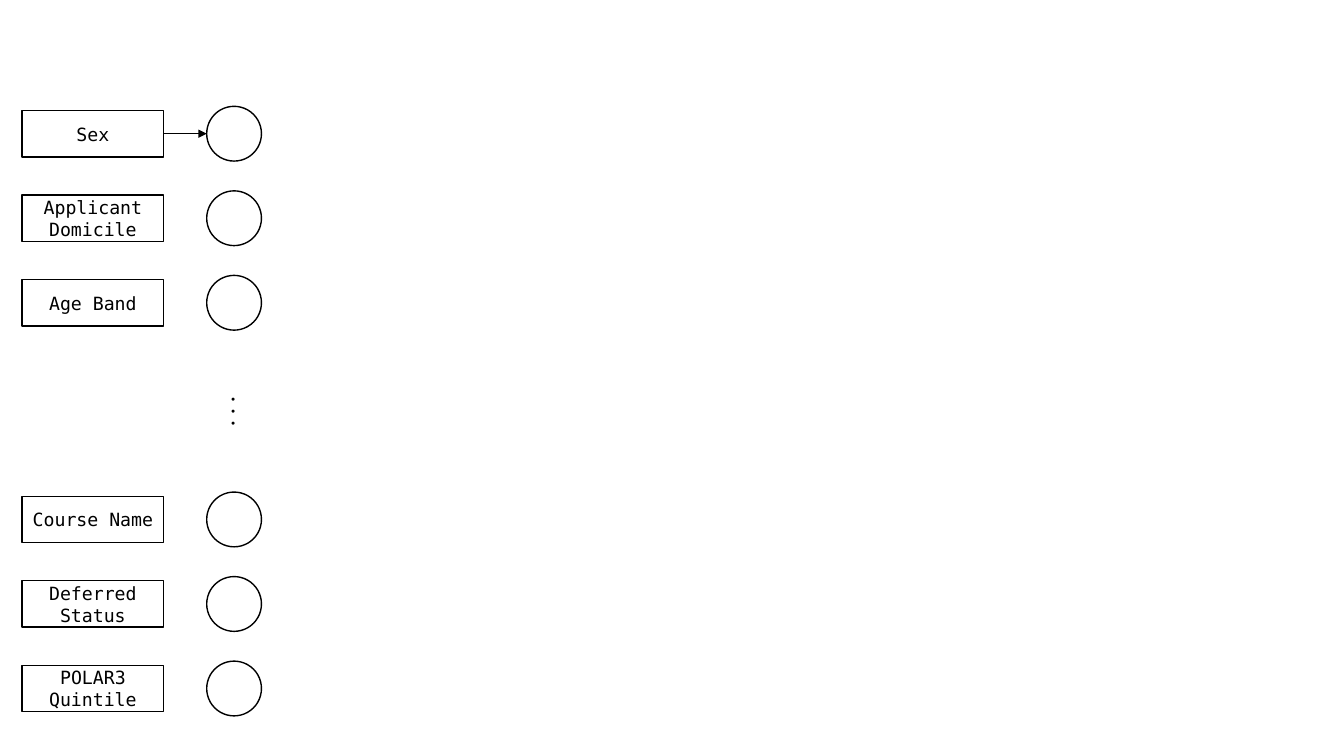
from lxml import etree
from pptx import Presentation
from pptx.dml.color import RGBColor
from pptx.enum.shapes import MSO_CONNECTOR, MSO_SHAPE
from pptx.enum.text import MSO_ANCHOR, PP_ALIGN
from pptx.oxml.ns import qn
from pptx.util import Cm, Pt

RECTANGLE, OVAL = MSO_SHAPE.RECTANGLE, MSO_SHAPE.OVAL
STRAIGHT = MSO_CONNECTOR.STRAIGHT
CENTER, MIDDLE = PP_ALIGN.CENTER, MSO_ANCHOR.MIDDLE

# Content: input features above and below the ellipsis
FEATURE_GROUPS = [
    ["Sex", "Applicant Domicile", "Age Band"],
    ["Course Name", "Deferred Status", "POLAR3 Quintile"],
]
ELLIPSIS = ". . ."

THEME = {
    "ink": RGBColor(0, 0, 0),
    "line": Pt(1),
    "label": ("DejaVu Sans Mono", Pt(13)),
    "ellipsis": ("Calibri", Pt(18)),
}

# Layout in centimetres
GROUP_CENTERS = [3.37, 13.09]
ROW_PITCH = 2.13
LABEL_LEFT, LABEL_WIDTH, LABEL_HEIGHT = 0.56, 3.56, 1.17
NODE_LEFT, NODE_SIZE = 5.21, 1.38
ELLIPSIS_BOX = (4.39, 9.86, 3.4, 1.02)

deck = Presentation()
deck.slide_width, deck.slide_height = Cm(33.87), Cm(19.05)
page = deck.slides.add_slide(deck.slide_layouts[6])


def set_text(shape, text, style):
    frame = shape.text_frame
    frame.text = text
    frame.word_wrap = True
    para = frame.paragraphs[0]
    para.alignment = CENTER
    font = para.runs[0].font
    font.name, font.size = THEME[style]
    font.color.rgb = THEME["ink"]


def set_line(shape):
    shape.line.color.rgb = THEME["ink"]
    shape.line.width = THEME["line"]


def add_outline(kind, left, center, width, height):
    shape = page.shapes.add_shape(
        kind, Cm(left), Cm(center - height / 2), Cm(width), Cm(height))
    shape.shadow.inherit = False
    shape.fill.background()
    set_line(shape)
    return shape


# One label and one node per feature
for first_center, features in zip(GROUP_CENTERS, FEATURE_GROUPS):
    for row, feature in enumerate(features):
        center = first_center + row * ROW_PITCH
        add_outline(OVAL, NODE_LEFT, center, NODE_SIZE, NODE_SIZE)
        label = add_outline(RECTANGLE, LABEL_LEFT, center, LABEL_WIDTH, LABEL_HEIGHT)
        label.text_frame.vertical_anchor = MIDDLE
        set_text(label, feature, "label")

# Vertical ellipsis between the groups
box = page.shapes.add_textbox(*map(Cm, ELLIPSIS_BOX))
box.rotation = 90
set_text(box, ELLIPSIS, "ellipsis")

# Arrow from the first label to its node
arrow_y = Cm(GROUP_CENTERS[0])
arrow = page.shapes.add_connector(
    STRAIGHT, Cm(LABEL_LEFT + LABEL_WIDTH), arrow_y, Cm(NODE_LEFT), arrow_y)
set_line(arrow)
etree.SubElement(arrow.line._get_or_add_ln(), qn("a:tailEnd"), type="triangle")
etree.SubElement(arrow._element.spPr, qn("a:effectLst"))

deck.save("out.pptx")
